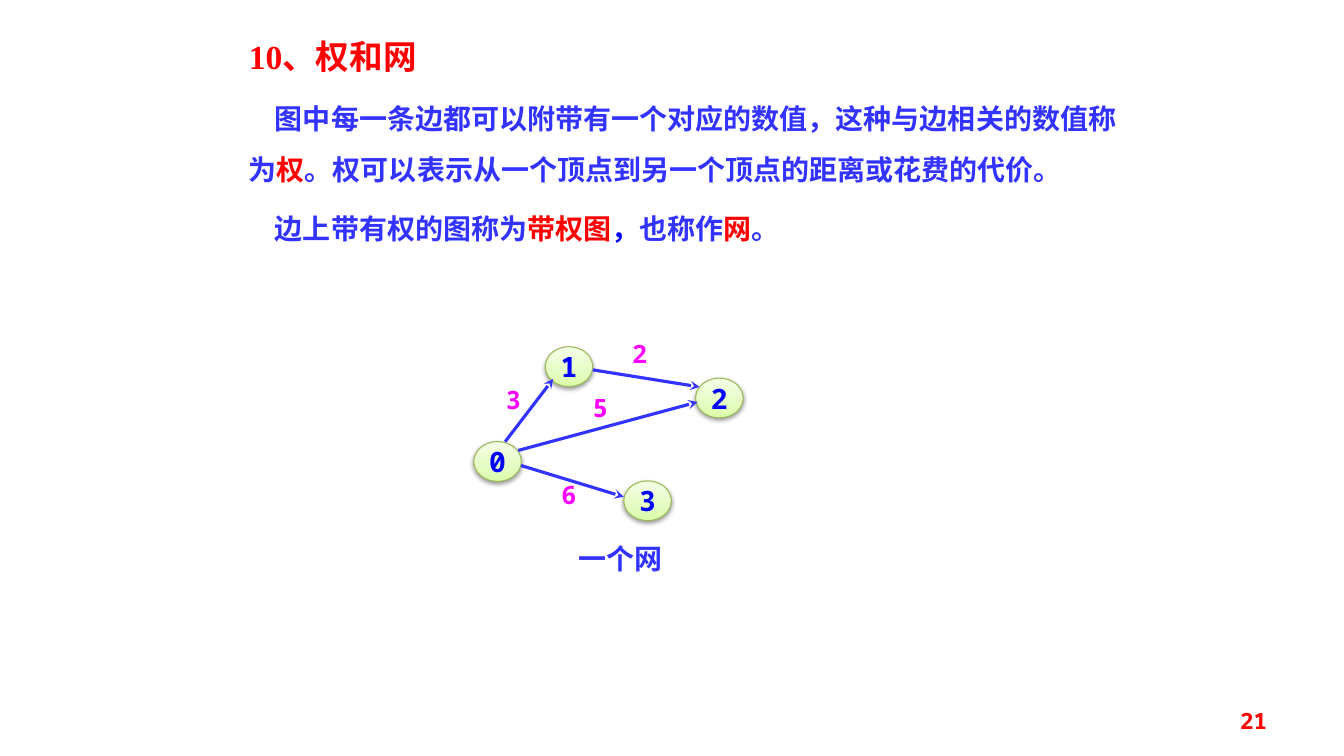
from copy import deepcopy

from lxml import etree
from pptx import Presentation
from pptx import util as u
from pptx.dml.color import RGBColor
from pptx.enum import shapes, text
from pptx.oxml import parse_xml
from pptx.oxml.ns import nsdecls, qn

MONO = "Noto Sans Mono"
BLUE, DEEP_BLUE, RED, MAGENTA = "3333FF", "0000FF", "FF0000", "FF00FF"


def rgb(value):
    return RGBColor.from_string(value)


def write(paragraph, runs, size, align=text.PP_ALIGN.CENTER, font=MONO):
    """Fill a bold paragraph with (wording, colour) runs."""
    paragraph.alignment = align
    paragraph.font.name = font
    paragraph.font.size = u.Pt(size)
    paragraph.font.bold = True
    if len(runs) == 1:
        paragraph.font.color.rgb = rgb(runs[0][1])
    for wording, color in runs:
        run = paragraph.add_run()
        run.text = wording
        if len(runs) > 1:
            run.font.color.rgb = rgb(color)


prs = Presentation()
prs.slide_width, prs.slide_height = u.Cm(33.87), u.Cm(19.05)
slide = prs.slides.add_slide(prs.slide_layouts[6])

# Heading and definitions
definition = slide.shapes.add_textbox(u.Cm(6.02), u.Cm(0.79), u.Cm(22.5), u.Cm(5.41)).text_frame
definition.word_wrap = True
write(definition.paragraphs[0], [("10、权和网", RED)], 24, text.PP_ALIGN.LEFT, "Times New Roman")
sentences = [
    [("图中每一条边都可以附带有一个对应的数值，这种与边相关的数值称为", BLUE), ("权", RED),
     ("。权可以表示从一个顶点到另一个顶点的距离或花费的代价。", BLUE)],
    [("边上带有权的图称为", BLUE), ("带权图", RED), ("，", DEEP_BLUE),
     ("也称作", BLUE), ("网", RED), ("。", BLUE)],
]
for runs in sentences:
    sentence = definition.add_paragraph()
    write(sentence, runs, 20, text.PP_ALIGN.LEFT)
    sentence.line_spacing = 1.5
    sentence.space_before = u.Pt(6)
    sentence.font.color.rgb = rgb(BLUE)
    sentence._p.get_or_add_pPr().set("indent", str(u.Cm(0.66)))

# Vertices of the network: left, top
vertices = {"1": (13.74, 8.74), "2": (17.53, 9.53), "0": (11.94, 11.13), "3": (15.72, 12.12)}
for name, (left, top) in vertices.items():
    vertex = slide.shapes.add_shape(
        shapes.MSO_SHAPE.OVAL, u.Cm(left), u.Cm(top), u.Cm(1.2), u.Cm(1))
    vertex.fill.gradient()
    vertex.fill.gradient_angle = 90
    first_stop = vertex._element.spPr.find(".//" + qn("a:gs"))
    first_stop.addnext(deepcopy(first_stop))
    shades = [(0, "DAFDA7"), (0.35, "E4FCC2"), (1, "F5FFE7")]
    for stop, (position, color) in zip(vertex.fill.gradient_stops, shades):
        stop.position = position
        stop.color.rgb = rgb(color)
    vertex.line.color.rgb = rgb("98B955")
    vertex.line.width = u.Pt(0.75)
    vertex._element.spPr.append(parse_xml(
        f'<a:effectLst {nsdecls("a")}><a:outerShdw blurRad="40000" dist="20000" dir="5400000"'
        ' rotWithShape="0"><a:srgbClr val="000000"><a:alpha val="38000"/></a:srgbClr>'
        '</a:outerShdw></a:effectLst>'))
    vertex.text_frame.word_wrap = False
    vertex.text_frame.vertical_anchor = text.MSO_ANCHOR.MIDDLE
    write(vertex.text_frame.paragraphs[0], [(name, DEEP_BLUE)], 20)

# Weighted edges: weight, start, end, corner of the weight
edges = [
    ("3", (12.73, 11.13), (13.94, 9.55), (12.34, 9.68)),
    ("6", (13.13, 11.73), (15.72, 12.52), (13.74, 12.09)),
    ("5", (13.06, 11.35), (17.58, 10.13), (14.53, 9.88)),
    ("2", (14.94, 9.32), (17.63, 9.75), (15.52, 8.53)),
]
for weight, start, end, corner in edges:
    edge = slide.shapes.add_connector(
        shapes.MSO_CONNECTOR.STRAIGHT, *map(u.Cm, start + end))
    edge.line.color.rgb = rgb(BLUE)
    edge.line.width = u.Pt(2.25)
    etree.SubElement(edge.line._get_or_add_ln(), qn("a:tailEnd"), type="stealth")
    etree.SubElement(edge._element.spPr, qn("a:effectLst"))

    label = slide.shapes.add_textbox(*map(u.Cm, corner), u.Cm(1.2), u.Cm(0.76)).text_frame
    label.word_wrap = True
    label.margin_left = label.margin_right = label.margin_top = label.margin_bottom = 0
    write(label.paragraphs[0], [(weight, MAGENTA)], 18)

# Caption and page number
caption = slide.shapes.add_textbox(u.Cm(12.93), u.Cm(13.51), u.Cm(5.41), u.Cm(1.12)).text_frame
caption.word_wrap = True
write(caption.paragraphs[0], [("一个网", BLUE)], 20)

page = slide.shapes.add_textbox(u.Cm(24.28), u.Cm(17.65), u.Cm(7.9), u.Cm(1.02)).text_frame
page.word_wrap = True
page.vertical_anchor = text.MSO_ANCHOR.MIDDLE
write(page.paragraphs[0], [("21", RED)], 16, text.PP_ALIGN.RIGHT)

prs.save("out.pptx")
